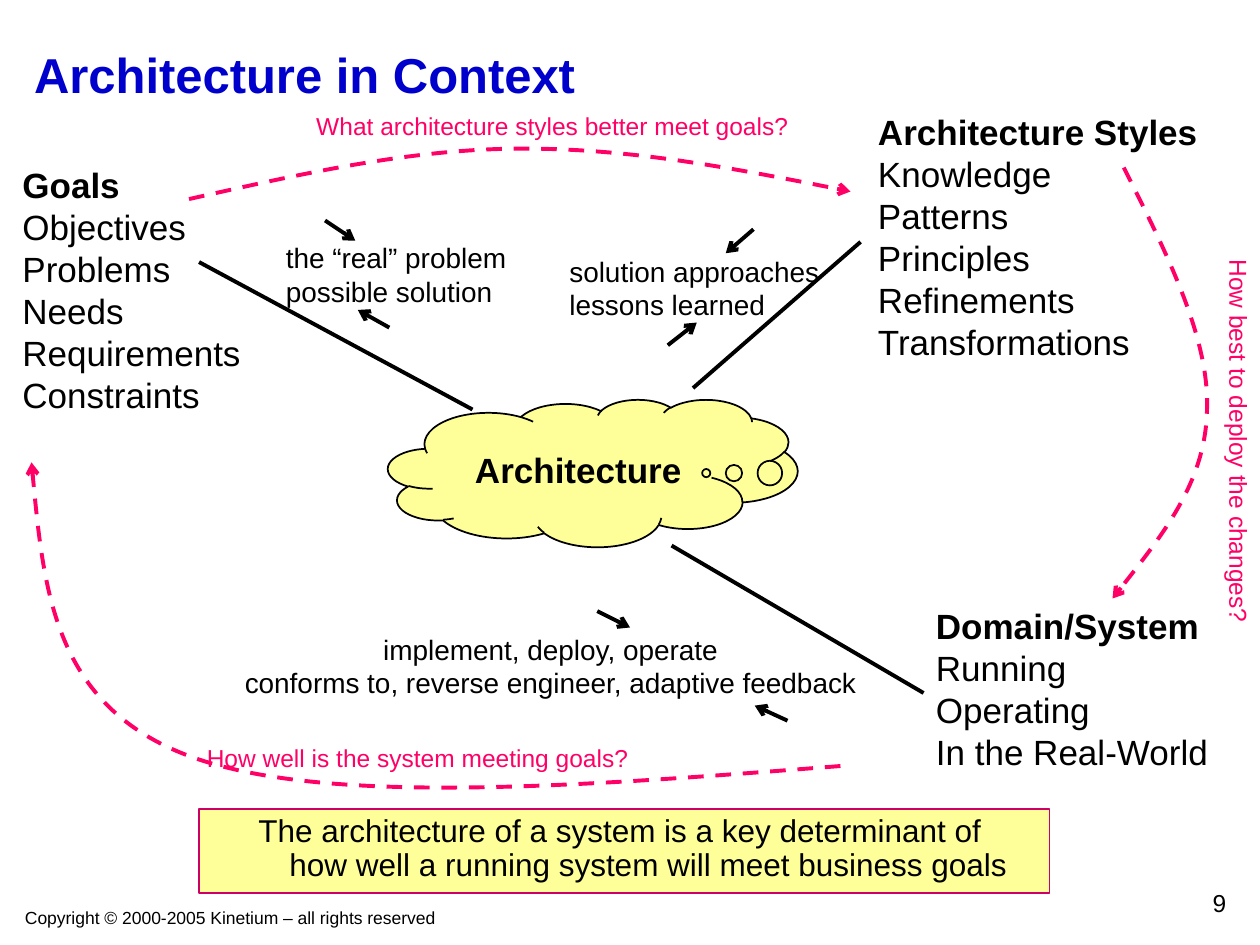
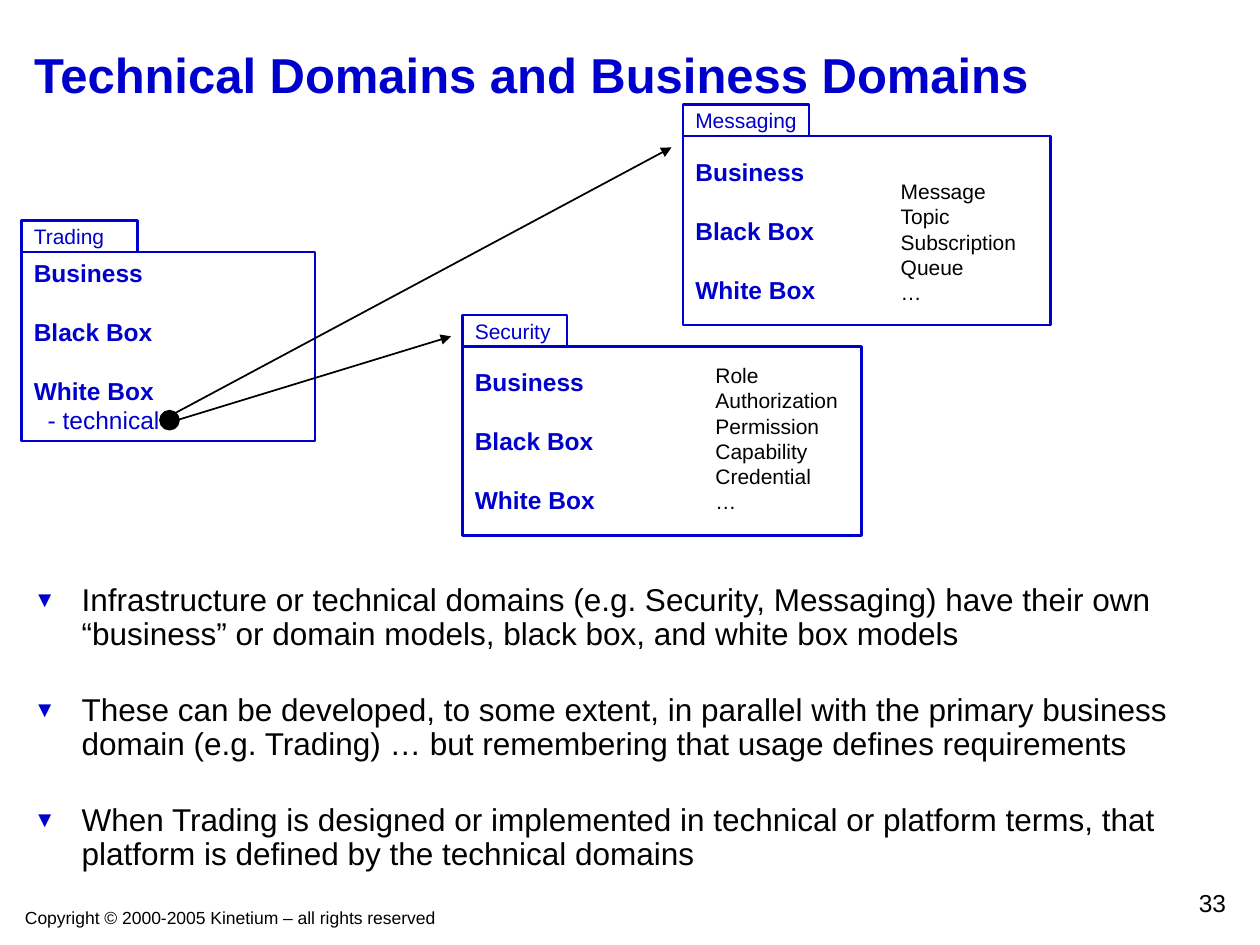
from dataclasses import dataclass

from lxml import etree
from pptx import Presentation
from pptx.dml.color import RGBColor
from pptx.enum import dml, shapes, text
from pptx.oxml import ns
from pptx.util import Inches, Pt


@dataclass(frozen=True)
class Theme:
    font: str = "Arial"
    blue: str = "0000CC"
    black: str = "000000"
    white: str = "FFFFFF"
    yellow: str = "FFFF99"
    pink: str = "FF0066"
    crimson: str = "CC0066"
    title: int = 28
    heading: int = 20
    body: int = 18
    note: int = 16
    label: int = 14
    small: int = 12
    footer: int = 10


THEME = Theme()
LEFT, CENTER, RIGHT = text.PP_ALIGN.LEFT, text.PP_ALIGN.CENTER, text.PP_ALIGN.RIGHT
TOP, MIDDLE = text.MSO_ANCHOR.TOP, text.MSO_ANCHOR.MIDDLE
RECTANGLE = shapes.MSO_SHAPE.RECTANGLE

COPYRIGHT = "Copyright © 2000-2005 Kinetium – all rights reserved"
TITLE_BOX = (0.17, 0.17, 9.67, 0.83)
FOOTER_BOX = (0.1, 7.15, 5.2, 0.27)
NUMBER_BOX = (7.75, 7, 2.08, 0.33)
HANGING = 0.38
LINE_GAP = 16.8
BULLET_GAP = 24
TAB_HEIGHT = 0.25
PACKAGE_HEIGHT = 1.5

CLOUD = ("Architecture", (3.08, 3.17, 3.25, 1.17))
BANNER = (("The architecture of a system is a key determinant of ",
           "how well a running system will meet business goals"),
          (1.58, 6.42, 6.75, 0.67))

CONTEXTS = [
    {"items": ["Goals", "Objectives", "Problems", "Needs", "Requirements", "Constraints"],
     "box": (0.08, 1.25, 1.93, 2.1),
     "spoke": ((1.58, 2.08), (3.75, 3.25)),
     "exchange": ["the “real” problem", "possible solution"],
     "exchange_box": (2.17, 1.86, 1.95, 0.64), "align": LEFT,
     "arrows": [((2.58, 1.75), (2.82, 1.91)), ((3.09, 2.6), (2.84, 2.46))]},
    {"items": ["Architecture Styles", "Knowledge", "Patterns", "Principles",
               "Refinements", "Transformations"],
     "box": (6.87, 0.83, 2.73, 2.1),
     "spoke": ((6.83, 1.92), (5.5, 3.08)),
     "exchange": ["solution approaches", "lessons learned"],
     "exchange_box": (4.42, 1.97, 2.18, 0.64), "align": LEFT,
     "arrows": [((5.98, 1.82), (5.76, 2.01)), ((5.3, 2.74), (5.53, 2.56))]},
    {"items": ["Domain/System", "Running", "Operating", "In the Real-World"],
     "box": (7.33, 4.75, 2.36, 1.44),
     "spoke": ((5.33, 4.33), (7.33, 5.5)),
     "exchange": ["implement, deploy, operate",
                  "conforms to, reverse engineer, adaptive feedback"],
     "exchange_box": (1.84, 4.97, 5.06, 0.64), "align": CENTER,
     "arrows": [((4.74, 4.85), (5, 4.98)), ((6.25, 5.72), (5.99, 5.6))]},
]

QUESTIONS = [
    ("How well is the system meeting goals?", (1.54, 5.85, 3.55, 0.34), 0,
     [(6.67, 6.08), (4.62, 6.24), (2.57, 6.4), (1.5, 6),
      (0.43, 5.6), (0.34, 4.63), (0.25, 3.67)]),
    ("What architecture styles better meet goals?", (2.41, 0.83, 3.95, 0.34), 0,
     [(1.5, 1.58), (2.35, 1.39), (3.21, 1.19), (4.08, 1.18),
      (4.96, 1.17), (5.85, 1.34), (6.75, 1.52)]),
    ("How best to deploy the changes?", (8.29, 3.33, 3.08, 0.34), 90,
     [(8.92, 1.33), (9.26, 2.01), (9.6, 2.68), (9.58, 3.25),
      (9.57, 3.82), (9.2, 4.28), (8.83, 4.75)]),
]

MODELS = ["Business", "Black Box", "White Box"]
PACKAGES = [
    {"name": "Trading", "corner": (0.17, 1.75), "width": 2.33, "tab": 0.92,
     "detail": "- technical"},
    {"name": "Security", "corner": (3.67, 2.5), "width": 3.17, "tab": 0.83},
    {"name": "Messaging", "corner": (5.42, 0.83), "width": 2.92, "tab": 1},
]
TERMS = [
    (["Message", "Topic", "Subscription", "Queue", "…"], (7.05, 1.37, 1.11, 1.1)),
    (["Role", "Authorization", "Permission", "Capability", "Credential", "…"],
     (5.58, 2.83, 1.17, 1.3)),
]
USES = [((1.42, 3.33), (3.58, 2.67)), ((1.35, 3.3), (5.33, 1.17))]
USES_ORIGIN = (1.27, 3.26, 0.15, 0.15)
BULLETS_BOX = (0.17, 4.59, 9.67, 2.42)
BULLETS = [
    "Infrastructure or technical domains (e.g. Security, Messaging) have their own "
    "“business” or domain models, black box, and white box models",
    "These can be developed, to some extent, in parallel with the primary business "
    "domain (e.g. Trading) … but remembering that usage defines requirements",
    "When Trading is designed or implemented in technical or platform terms, that "
    "platform is defined by the technical domains",
]


def lengths(values):
    return [Inches(value) for value in values]


def add_xml(parent, tag, **attributes):
    return etree.SubElement(parent, ns.qn(tag), attributes)


def add_run(paragraph, content, size, color=THEME.black, bold=False):
    run = paragraph.add_run()
    run.text = content
    run.font.name = THEME.font
    run.font.size = Pt(size)
    run.font.bold = bold
    run.font.color.rgb = RGBColor.from_string(color)


def prepare_frame(shape, wrap=False, anchor=TOP):
    frame = shape.text_frame
    frame.auto_size = text.MSO_AUTO_SIZE.NONE
    frame.word_wrap = wrap
    frame.vertical_anchor = anchor
    return frame


def next_paragraph(frame, index, align=LEFT):
    paragraph = frame.add_paragraph() if index else frame.paragraphs[0]
    paragraph.alignment = align
    return paragraph


def indent(paragraph, margin, first_line=0):
    properties = paragraph._p.get_or_add_pPr()
    properties.set("marL", str(Inches(margin)))
    properties.set("indent", str(Inches(first_line)))
    return properties


def add_text(slide, lines, box, size, color=THEME.black, align=LEFT, wrap=False, headed=False):
    shape = slide.shapes.add_textbox(*lengths(box))
    frame = prepare_frame(shape, wrap)
    for index, line in enumerate(lines):
        add_run(next_paragraph(frame, index, align), line, size, color, headed and index == 0)
    return shape


def add_box(slide, kind, box, fill, outline, width=1):
    shape = slide.shapes.add_shape(kind, *lengths(box))
    shape.shadow.inherit = False
    shape.fill.solid()
    shape.fill.fore_color.rgb = RGBColor.from_string(fill)
    style_line(shape, outline, width)
    return shape


def style_line(shape, color, width, head=None, dash=None):
    shape.line.color.rgb = RGBColor.from_string(color)
    shape.line.width = Pt(width)
    if dash:
        shape.line.dash_style = dash
    if head:
        add_xml(shape.line._get_or_add_ln(), "a:tailEnd", type=head)


def add_line(slide, start, end, width, head=None):
    connector = slide.shapes.add_connector(
        shapes.MSO_CONNECTOR.STRAIGHT, *lengths(start + end))
    style_line(connector, THEME.black, width, head)
    add_xml(connector._element.spPr, "a:effectLst")


def add_curve(slide, controls):
    start, *others = [lengths(point) for point in controls]
    builder = slide.shapes.build_freeform(*start)
    builder.add_line_segments(others, close=False)
    curve = builder.convert_to_shape()
    segments = list(curve._element.iter(ns.qn("a:lnTo")))
    outline = segments[0].getparent()
    for first in range(0, len(segments), 3):
        bezier = add_xml(outline, "a:cubicBezTo")
        for segment in segments[first:first + 3]:
            bezier.append(segment[0])
            outline.remove(segment)
    curve.shadow.inherit = False
    curve.fill.background()
    style_line(curve, THEME.pink, 2.25, "arrow", dml.MSO_LINE.DASH)


def add_slide(presentation, title, number):
    slide = presentation.slides.add_slide(presentation.slide_layouts[5])
    heading = slide.shapes.title
    heading.left, heading.top, heading.width, heading.height = lengths(TITLE_BOX)
    frame = prepare_frame(heading, wrap=True, anchor=MIDDLE)
    add_run(next_paragraph(frame, 0), title, THEME.title, THEME.blue, True)
    add_text(slide, [number], NUMBER_BOX, THEME.label, align=RIGHT, wrap=True)
    return slide


def share_footer(presentation, slide):
    footer = add_text(slide, [COPYRIGHT], FOOTER_BOX, THEME.footer, wrap=True)
    presentation.slide_master.shapes._spTree.append(footer._element)


def add_package(slide, name, corner, width, tab, detail=None):
    left, top = corner
    body = add_box(slide, RECTANGLE, (left, top + TAB_HEIGHT, width, PACKAGE_HEIGHT),
                   THEME.white, THEME.blue, 1.5)
    frame = prepare_frame(body, anchor=MIDDLE)
    for index, model in enumerate(MODELS):
        paragraph = next_paragraph(frame, index)
        if index:
            paragraph.space_before = Pt(LINE_GAP)
        add_run(paragraph, model, THEME.label, THEME.blue, True)
    if detail:
        paragraph = next_paragraph(frame, len(MODELS))
        indent(paragraph, 0.11)
        add_run(paragraph, detail, THEME.label, THEME.blue)
    label = add_box(slide, RECTANGLE, (left, top, tab, TAB_HEIGHT),
                    THEME.white, THEME.blue, 1.5)
    frame = prepare_frame(label, anchor=MIDDLE)
    add_run(next_paragraph(frame, 0), name, THEME.small, THEME.blue)


def add_bullets(slide):
    shape = slide.shapes.add_textbox(*lengths(BULLETS_BOX))
    frame = prepare_frame(shape, wrap=True)
    for index, bullet in enumerate(BULLETS):
        paragraph = next_paragraph(frame, index)
        paragraph.line_spacing = 0.9
        if index:
            paragraph.space_before = Pt(BULLET_GAP)
        properties = indent(paragraph, HANGING, -HANGING)
        add_xml(add_xml(properties, "a:buClr"), "a:srgbClr", val=THEME.blue)
        add_xml(properties, "a:buSzPct", val="70000")
        add_xml(properties, "a:buFont", typeface=THEME.font)
        add_xml(properties, "a:buChar", char="▼")
        add_run(paragraph, bullet, THEME.body)


def build_context(presentation):
    slide = add_slide(presentation, "Architecture in Context", "9")
    share_footer(presentation, slide)
    name, box = CLOUD
    cloud = add_box(slide, shapes.MSO_SHAPE.CLOUD_CALLOUT, box, THEME.yellow, THEME.black)
    cloud.adjustments[0], cloud.adjustments[1] = 0.277, 0
    frame = prepare_frame(cloud, wrap=True, anchor=MIDDLE)
    add_run(next_paragraph(frame, 0, CENTER), name, THEME.heading, bold=True)

    lines, box = BANNER
    banner = add_box(slide, RECTANGLE, box, THEME.yellow, THEME.crimson)
    paragraph = next_paragraph(prepare_frame(banner, wrap=True), 0, CENTER)
    paragraph.line_spacing = 0.9
    indent(paragraph, HANGING, -HANGING)
    for index, line in enumerate(lines):
        if index:
            paragraph.add_line_break()
        add_run(paragraph, line, THEME.body)

    for context in CONTEXTS:
        add_text(slide, context["items"], context["box"], THEME.heading, headed=True)
        add_line(slide, *context["spoke"], 2.25)
        add_text(slide, context["exchange"], context["exchange_box"], THEME.note,
                 align=context["align"])
        for start, end in context["arrows"]:
            add_line(slide, start, end, 2.25, "arrow")
    for question, box, rotation, controls in QUESTIONS:
        add_curve(slide, controls)
        label = add_text(slide, [question], box, THEME.label, THEME.pink, CENTER)
        label.rotation = rotation


def build_domains(presentation):
    slide = add_slide(presentation, "Technical Domains and Business Domains", "33")
    add_bullets(slide)
    for package in PACKAGES:
        add_package(slide, **package)
    for start, end in USES:
        add_line(slide, start, end, 1, "triangle")
    add_box(slide, shapes.MSO_SHAPE.OVAL, USES_ORIGIN, THEME.black, THEME.black)
    for terms, box in TERMS:
        add_text(slide, terms, box, THEME.small)


def main():
    presentation = Presentation()
    presentation.slide_width, presentation.slide_height = lengths((10, 7.5))
    build_context(presentation)
    build_domains(presentation)
    presentation.save("out.pptx")


if __name__ == "__main__":
    main()
